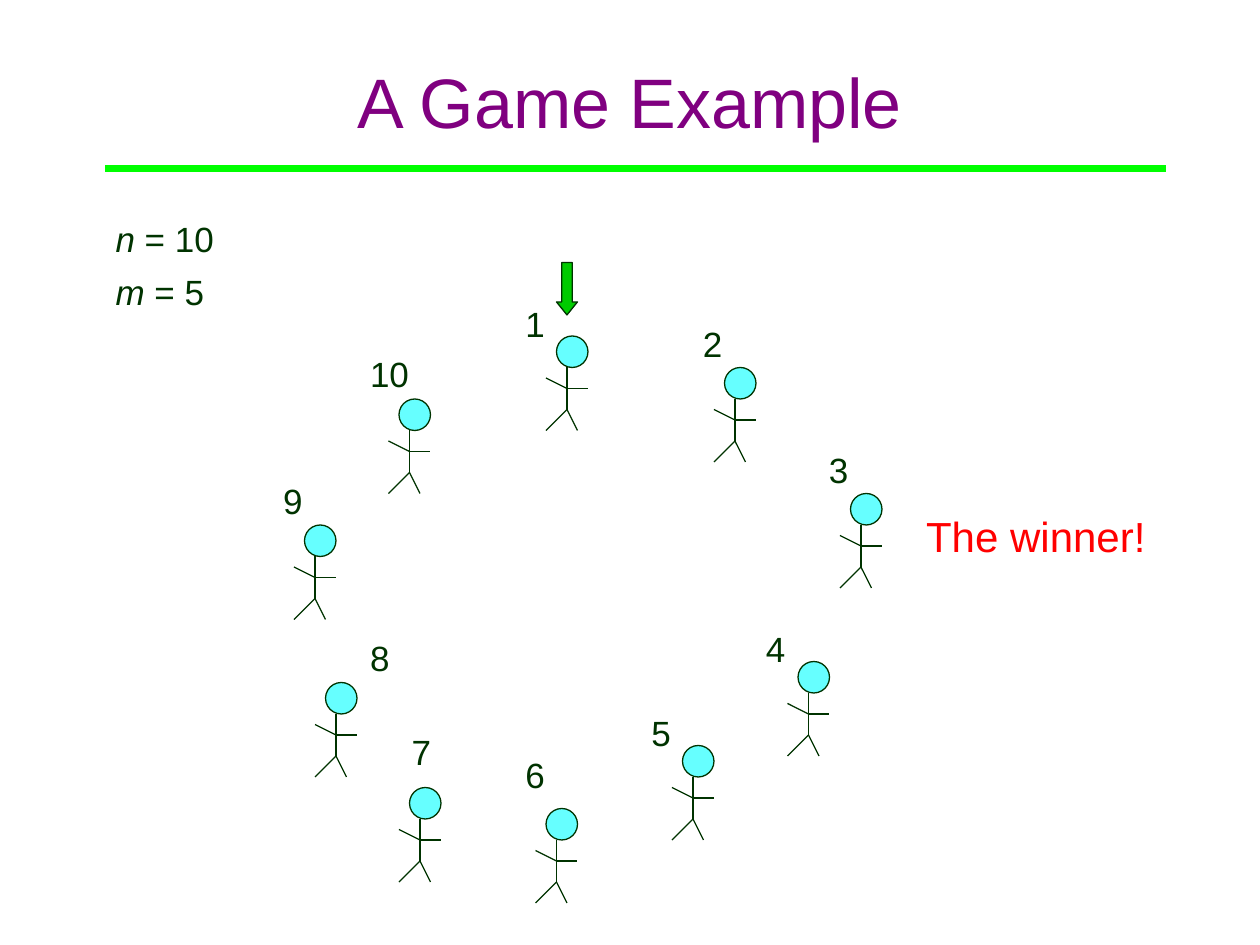
from lxml.etree import SubElement
from pptx import Presentation
from pptx.dml.color import RGBColor
from pptx.enum.shapes import MSO_CONNECTOR, MSO_SHAPE
from pptx.enum.text import MSO_ANCHOR, PP_ALIGN
from pptx.oxml.ns import qn
from pptx.util import Cm, Pt


def rgb(value):
    return RGBColor.from_string(value)


def add_text(s, runs, x, y, w, h, size=20, color="003300", wrap=False):
    tf = s.shapes.add_textbox(Cm(x), Cm(y), Cm(w), Cm(h)).text_frame
    tf.word_wrap = wrap
    p = tf.paragraphs[0]
    p.font.name, p.font.size = "Arial", Pt(size)
    p.font.color.rgb = rgb(color)
    for text, italic in runs:
        r = p.add_run()
        r.text = text
        if italic:
            r.font.italic = True
    return tf


"""Build the slide showing ten players in a ring and the winner."""
DARK = "003300"
U = 2.54 / 12

prs = Presentation()
prs.slide_width, prs.slide_height = Cm(25.4), Cm(19.05)
s = prs.slides.add_slide(prs.slide_layouts[6])

tf = add_text(s, [("A Game Example", False)], 1.9, 0.43, 21.59, 3.18, 40, "800080", True)
tf.vertical_anchor = MSO_ANCHOR.MIDDLE
tf.paragraphs[0].alignment = PP_ALIGN.CENTER

rule = s.shapes.add_connector(MSO_CONNECTOR.STRAIGHT, Cm(2.12), Cm(3.39), Cm(23.5), Cm(3.39))
rule.line.color.rgb = rgb("00FF00")
rule.line.width = Pt(4)
SubElement(rule._element.spPr, qn("a:effectLst"))

add_text(s, [("n", True), (" = 10", False)], 2.08, 4.27, 2.49, 1.11)
add_text(s, [("m", True), (" = 5", False)], 2.08, 5.33, 2.29, 1.11)

limbs = [(2, 3, 2, 7), (2, 7, 0, 9), (2, 7, 3, 9), (0, 4, 2, 5), (2, 5, 4, 5)]
players = [
    (52, 32, 10.34, 5.97), (68, 35, 13.92, 6.38), (80, 47, 16.46, 8.92),
    (75, 63, 15.19, 12.52), (64, 71, 12.88, 14.22), (51, 77, 10.34, 15.06),
    (38, 75, 8.05, 14.6), (30, 65, 7.21, 12.7), (28, 50, 5.46, 9.55),
    (37, 38, 7.21, 6.99),
]
for number, (col, row, label_x, label_y) in enumerate(players, 1):
    figure = s.shapes.add_group_shape()
    figure.name = f"Player {number}"
    head = figure.shapes.add_shape(
        MSO_SHAPE.OVAL, Cm((col + 1) * U), Cm(row * U), Cm(3 * U), Cm(3 * U))
    head.shadow.inherit = False
    head.fill.solid()
    head.fill.fore_color.rgb = rgb("66FFFF")
    head.line.color.rgb = rgb(DARK)
    head.line.width = Pt(0.75)
    for x1, y1, x2, y2 in limbs:
        limb = figure.shapes.add_connector(
            MSO_CONNECTOR.STRAIGHT, Cm((col + x1) * U), Cm((row + y1) * U),
            Cm((col + x2) * U), Cm((row + y2) * U))
        limb.line.color.rgb = rgb(DARK)
        limb.line.width = Pt(0.75)
        SubElement(limb._element.spPr, qn("a:effectLst"))
    add_text(s, [(str(number), False)], label_x, label_y, 0.89 if number < 10 else 1.3, 1.11)

add_text(s, [("The winner!", False)], 18.42, 10.16, 4.93, 1.27, 24, "FF0000")

sp = s.shapes.add_shape(MSO_SHAPE.DOWN_ARROW, Cm(53 * U), Cm(25 * U), Cm(2 * U), Cm(5 * U))
sp.adjustments[0], sp.adjustments[1] = 0.5, 0.62
sp.shadow.inherit = False
sp.fill.solid()
sp.fill.fore_color.rgb = rgb("00CC00")
sp.line.color.rgb = rgb(DARK)
sp.line.width = Pt(0.75)

prs.save("out.pptx")
